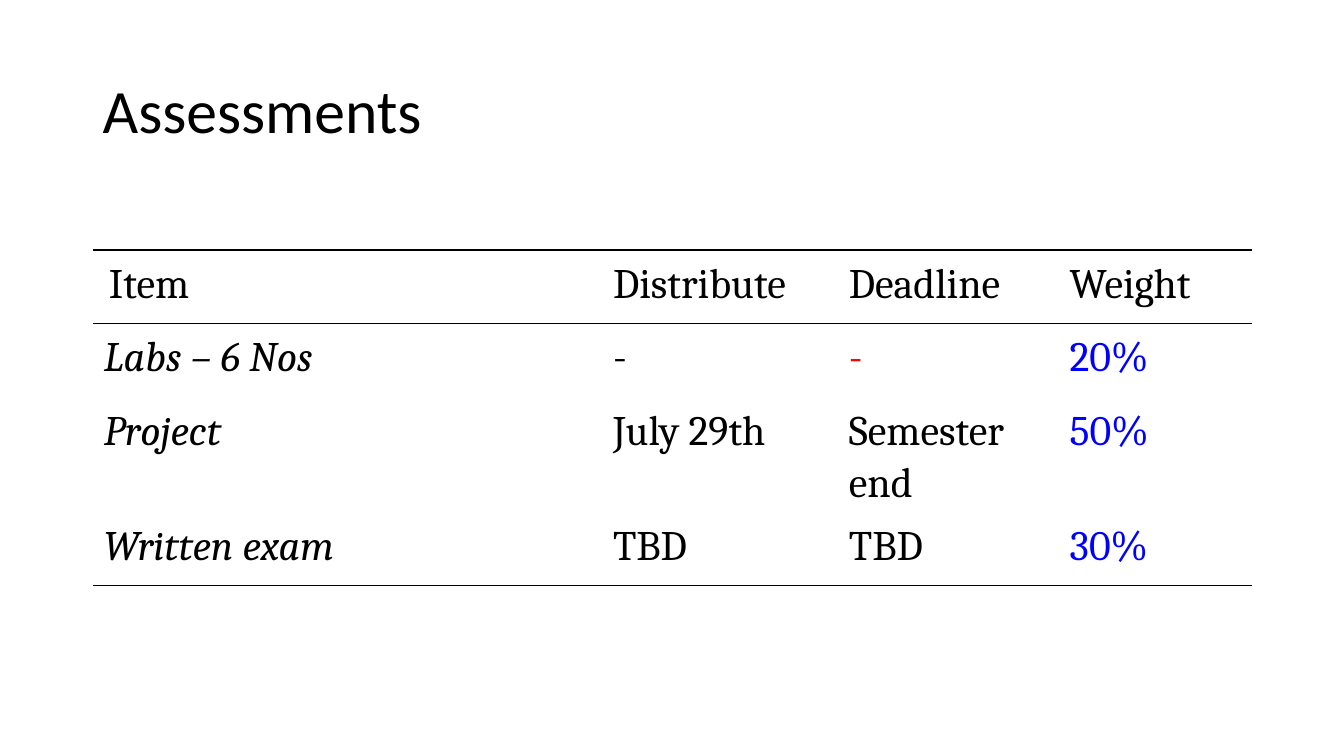
from dataclasses import dataclass

from lxml.etree import SubElement
from pptx import Presentation
from pptx.dml.color import RGBColor
from pptx.enum.text import MSO_ANCHOR
from pptx.oxml.ns import qn
from pptx.slide import Slide
from pptx.table import _Cell
from pptx.util import Inches, Pt


@dataclass(frozen=True)
class Theme:
    ink: str = "000000"
    alert: str = "FF0000"
    weight: str = "0000FF"
    title_font: str = "Calibri"
    table_font: str = "Cambria"
    title_size: int = 44
    table_size: int = 30
    rule_width: int = 1


@dataclass(frozen=True)
class Entry:
    text: str
    color: str
    italic: bool = False
    indent: float = 0


@dataclass(frozen=True)
class Assessment:
    item: str
    distribute: str
    deadline: str
    weight: str
    deadline_color: str
    height: float = 0.73

    def entries(self) -> list[Entry]:
        return [
            Entry(self.item, THEME.ink, italic=True, indent=0.08),
            Entry(self.distribute, THEME.ink),
            Entry(self.deadline, self.deadline_color),
            Entry(self.weight, THEME.weight),
        ]


THEME = Theme()
LEFT, WIDTH = 0.92, 11.5
TABLE_TOP = 2.48
HEADER_HEIGHT = 0.73
COLUMN_WIDTHS = [5.13, 2.34, 2.19, 1.84]
HEADER = [Entry("Item", THEME.ink, indent=0.13)] + [
    Entry(label, THEME.ink) for label in ("Distribute", "Deadline", "Weight")
]
ASSESSMENTS = [
    Assessment("Labs – 6 Nos", "-", "-", "20%", THEME.alert),
    Assessment("Project", "July 29th", "Semester end", "50%", THEME.ink, height=1.12),
    Assessment("Written exam", "TBD", "TBD", "30%", THEME.ink),
]
NO_STYLE = "{2D5ABB26-0587-4C30-8999-92F81FD0307C}"


def add_title(slide: Slide, text: str) -> None:
    title = slide.shapes.add_textbox(Inches(LEFT), Inches(0.4), Inches(WIDTH), Inches(1.45))
    frame = title.text_frame
    frame.word_wrap = True
    frame.vertical_anchor = MSO_ANCHOR.MIDDLE
    frame.text = text
    heading = frame.paragraphs[0]
    heading.line_spacing = 0.9
    heading.font.name = THEME.title_font
    heading.font.size = Pt(THEME.title_size)
    heading.font.color.rgb = RGBColor.from_string(THEME.ink)


def set_rules(cell: _Cell, above: bool, below: bool) -> None:
    """Draw the horizontal rules asked for and clear the other cell borders."""
    properties = cell._tc.get_or_add_tcPr()
    for side, visible in (("L", False), ("R", False), ("T", above), ("B", below)):
        rule = SubElement(properties, qn(f"a:ln{side}"), w=str(Pt(THEME.rule_width)))
        if visible:
            SubElement(SubElement(rule, qn("a:solidFill")), qn("a:srgbClr"), val=THEME.ink)
        else:
            SubElement(rule, qn("a:noFill"))


def write_entry(cell: _Cell, entry: Entry) -> None:
    cell.margin_left, cell.margin_top = Inches(0.03), Inches(0.07)
    cell.margin_right, cell.margin_bottom = Inches(0.24), Inches(0)
    cell.text = entry.text
    line = cell.text_frame.paragraphs[0]
    line.line_spacing = 1.07
    if entry.indent:
        line._p.get_or_add_pPr().set("marL", str(Inches(entry.indent)))
    line.font.name = THEME.table_font
    line.font.size = Pt(THEME.table_size)
    line.font.italic = entry.italic
    line.font.color.rgb = RGBColor.from_string(entry.color)


def add_assessment_table(slide: Slide) -> None:
    rows = [HEADER] + [assessment.entries() for assessment in ASSESSMENTS]
    heights = [HEADER_HEIGHT] + [assessment.height for assessment in ASSESSMENTS]
    frame = slide.shapes.add_table(
        len(rows), len(COLUMN_WIDTHS),
        Inches(LEFT), Inches(TABLE_TOP), Inches(WIDTH), Inches(sum(heights)),
    )
    table = frame.table
    table.first_row = table.horz_banding = False
    table._tbl.tblPr.find(qn("a:tableStyleId")).text = NO_STYLE
    for column, width in zip(table.columns, COLUMN_WIDTHS):
        column.width = Inches(width)
    for index, (entries, height) in enumerate(zip(rows, heights)):
        table.rows[index].height = Inches(height)
        for cell, entry in zip(table.rows[index].cells, entries):
            write_entry(cell, entry)
            set_rules(cell, above=index <= 1, below=index in (0, len(rows) - 1))
            cell.fill.background()


def main() -> None:
    deck = Presentation()
    deck.slide_width, deck.slide_height = Inches(13.33), Inches(7.5)
    slide = deck.slides.add_slide(deck.slide_layouts[6])
    add_title(slide, "Assessments")
    add_assessment_table(slide)
    deck.save("out.pptx")


if __name__ == "__main__":
    main()
